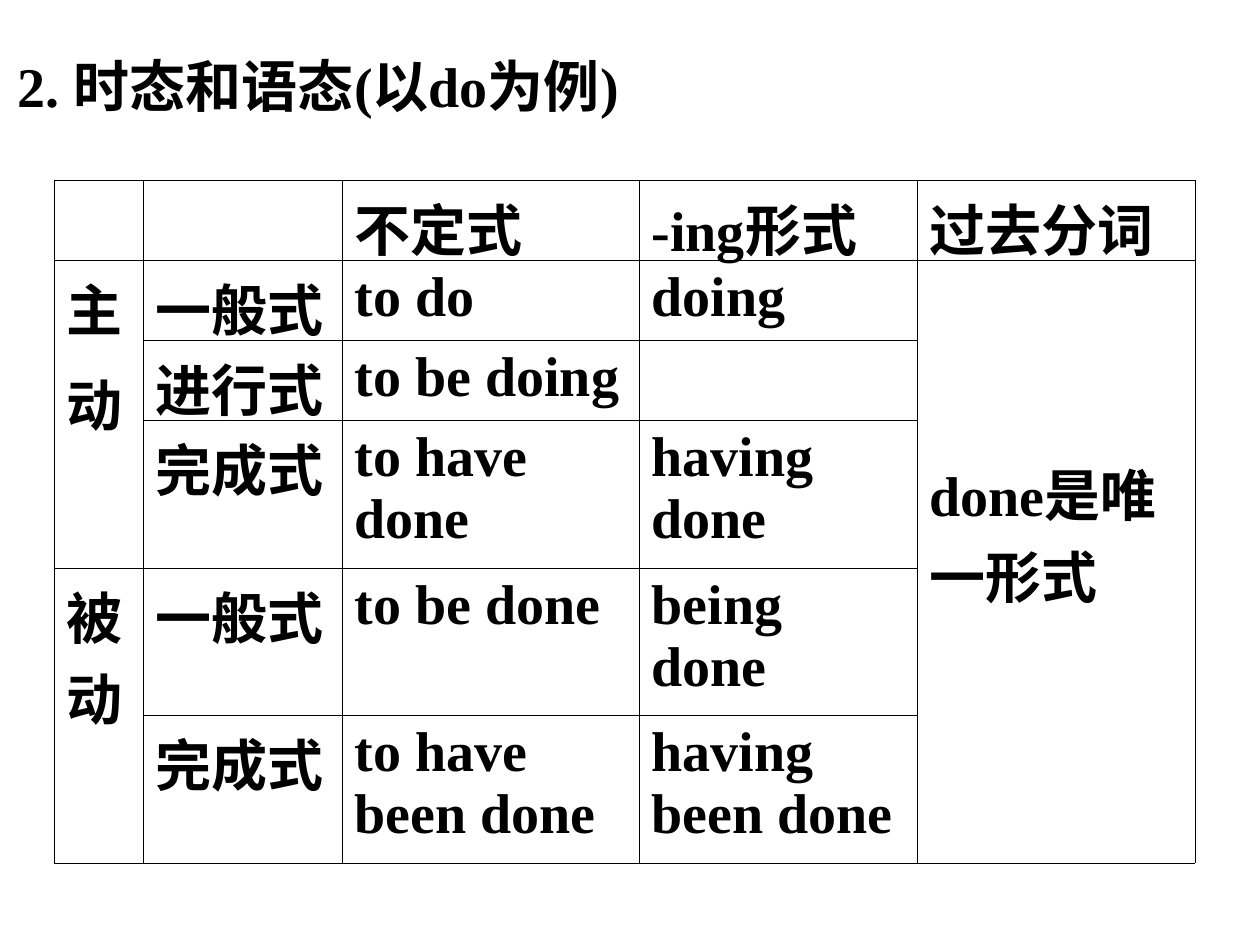
from lxml.etree import SubElement
from pptx import Presentation
from pptx.dml.color import RGBColor
from pptx.enum.text import MSO_ANCHOR as Anchor, MSO_AUTO_SIZE as AutoSize, PP_ALIGN as Align
from pptx.oxml.ns import qn
from pptx.util import Pt

PX = 914400 / 126
BLACK = RGBColor(0, 0, 0)
FONT = "Times New Roman"

HEADING = "2. 时态和语态(以do为例)"
FORMS = [
    ["", "", "不定式", "-ing形式", "过去分词"],
    ["主\n动", "一般式", "to do", "doing", "done是唯一形式"],
    ["", "进行式", "to be doing", "", ""],
    ["", "完成式", "to have done", "having done", ""],
    ["被动", "一般式", "to be done", "being done", ""],
    ["", "完成式", "to have been done", "having been done", ""],
]
MERGES = [((1, 0), (3, 0)), ((4, 0), (5, 0)), ((1, 4), (5, 4))]
COLUMN_WIDTHS = [89, 199, 297, 278, 278]
ROW_HEIGHTS = [80, 80, 80, 148, 147, 148]


def px(length):
    return round(length * PX)


def style(paragraph):
    paragraph.font.name = FONT
    paragraph.font.size = Pt(32)
    paragraph.font.bold = True
    paragraph.font.color.rgb = BLACK


def add_borders(cell):
    properties = cell._tc.get_or_add_tcPr()
    for index, side in enumerate(("a:lnL", "a:lnR", "a:lnT", "a:lnB")):
        line = properties.makeelement(qn(side), {"w": str(Pt(0.45))})
        fill = SubElement(line, qn("a:solidFill"))
        SubElement(fill, qn("a:srgbClr"), val=str(BLACK))
        properties.insert(index, line)


def add_heading(slide):
    heading = slide.shapes.title
    heading.left, heading.top, heading.width, heading.height = map(px, (5, 45, 707, 81))
    frame = heading.text_frame
    frame.text = HEADING
    frame.word_wrap = False
    frame.auto_size = AutoSize.SHAPE_TO_FIT_TEXT
    frame.vertical_anchor = Anchor.MIDDLE
    frame.paragraphs[0].alignment = Align.LEFT
    style(frame.paragraphs[0])


def add_forms(slide):
    table = slide.shapes.add_table(
        len(ROW_HEIGHTS), len(COLUMN_WIDTHS), px(54), px(180),
        px(sum(COLUMN_WIDTHS)), px(sum(ROW_HEIGHTS))).table
    table.first_row = table.horz_banding = False
    for column, width in zip(table.columns, COLUMN_WIDTHS):
        column.width = px(width)
    for row, height in zip(table.rows, ROW_HEIGHTS):
        row.height = px(height)
    for r, forms in enumerate(FORMS):
        for c, form in enumerate(forms):
            cell = table.cell(r, c)
            cell.fill.background()
            add_borders(cell)
            if form:
                cell.text = form
                for paragraph in cell.text_frame.paragraphs:
                    paragraph.space_before = Pt(8)
                    style(paragraph)
    for first, last in MERGES:
        table.cell(*first).merge(table.cell(*last))
    only_form = table.cell(1, 4)
    only_form.vertical_anchor = Anchor.MIDDLE
    only_form.margin_bottom = px(63)


def main():
    deck = Presentation()
    deck.slide_width, deck.slide_height = px(1260), px(945)
    slide = deck.slides.add_slide(deck.slide_layouts[5])
    add_heading(slide)
    add_forms(slide)
    deck.save("out.pptx")


if __name__ == "__main__":
    main()
